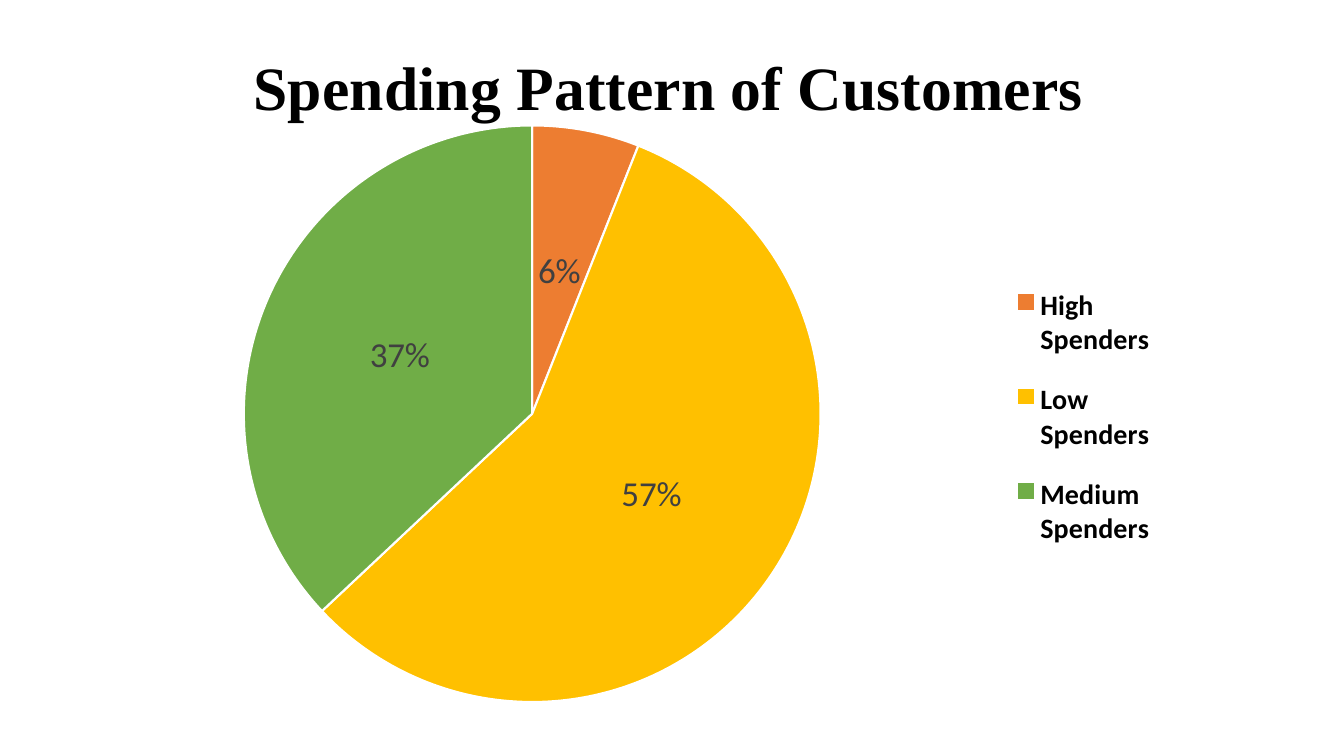
"""Build a slide with a pie chart of customer spending patterns."""
from dataclasses import dataclass
from typing import Optional

from lxml.etree import SubElement
from pptx import Presentation
from pptx.chart.data import CategoryChartData
from pptx.dml.color import RGBColor
from pptx.enum.chart import XL_CHART_TYPE as ChartType
from pptx.enum.chart import XL_LABEL_POSITION as LabelPosition
from pptx.enum.chart import XL_LEGEND_POSITION as LegendPosition
from pptx.oxml.ns import qn
from pptx.util import Inches, Pt


@dataclass(frozen=True)
class Segment:
    name: str
    percent: int
    color: str


@dataclass(frozen=True)
class Layout:
    x: float
    y: float
    w: Optional[float] = None
    h: Optional[float] = None
    target: Optional[str] = None


SEGMENTS = [
    Segment("High Spenders", 6, "ED7D31"),
    Segment("Low Spenders", 57, "FFC000"),
    Segment("Medium Spenders", 37, "70AD47"),
]


def rgb(value: str) -> RGBColor:
    return RGBColor.from_string(value)


def style_font(font, name: str, size: float, color: str, bold: bool = False) -> None:
    font.name, font.size, font.bold = name, Pt(size), bold
    font.color.rgb = rgb(color)


def place(part, layout: Layout, after: Optional[str] = None) -> None:
    for old in part.findall(qn("c:layout")):
        part.remove(old)
    holder = SubElement(part, qn("c:layout"))
    manual = SubElement(holder, qn("c:manualLayout"))
    settings = {
        "layoutTarget": layout.target,
        "xMode": "edge",
        "yMode": "edge",
        "x": layout.x,
        "y": layout.y,
        "w": layout.w,
        "h": layout.h,
    }
    for tag, value in settings.items():
        if value is not None:
            SubElement(manual, qn(f"c:{tag}")).set("val", str(value))
    part.insert(part.index(part.find(qn(after))) + 1 if after else 0, holder)


def add_spending_pie(slide) -> None:
    spending = CategoryChartData()
    spending.categories = [segment.name for segment in SEGMENTS]
    spending.add_series("Series 1", [segment.percent for segment in SEGMENTS])
    chart = slide.shapes.add_chart(
        ChartType.PIE, Inches(0.94), Inches(0.36), Inches(11.27), Inches(6.81), spending
    ).chart
    style_font(chart.font, "Calibri", 10, "000000")

    chart.has_title = True
    heading = chart.chart_title.text_frame.paragraphs[0]
    heading.text = "Spending Pattern of Customers"
    style_font(heading.font, "Times New Roman", 44, "000000", True)
    chart.chart_title.include_in_layout = False

    chart.has_legend = True
    chart.legend.position = LegendPosition.RIGHT
    chart.legend.include_in_layout = False
    style_font(chart.legend.font, "Calibri", 20, "000000", True)

    pie = chart.plots[0]
    pie.vary_by_categories = True
    pie.has_data_labels = True
    labels = pie.data_labels
    labels.show_percentage, labels.show_value = True, False
    labels.number_format, labels.number_format_is_linked = "0%", False
    labels.position = LabelPosition.CENTER
    style_font(labels.font, "Calibri", 25, "404040")
    for index, segment in enumerate(SEGMENTS):
        slice_format = pie.series[0].points[index].format
        slice_format.fill.solid()
        slice_format.fill.fore_color.rgb = rgb(segment.color)
        slice_format.line.color.rgb = rgb("FFFFFF")
        slice_format.line.width = Pt(1.5)

    body = chart._chartSpace.find(qn("c:chart"))
    place(body.find(qn("c:title")), Layout(0.13, 0), "c:tx")
    place(body.find(qn("c:plotArea")), Layout(0.13, 0.13, 0.51, 0.84, "inner"))
    place(body.find(qn("c:legend")), Layout(0.8, 0.33, 0.14, 0.45), "c:legendPos")


def main() -> None:
    deck = Presentation()
    deck.slide_width, deck.slide_height = Inches(13.33), Inches(7.5)
    add_spending_pie(deck.slides.add_slide(deck.slide_layouts[6]))
    deck.save("out.pptx")


if __name__ == "__main__":
    main()
